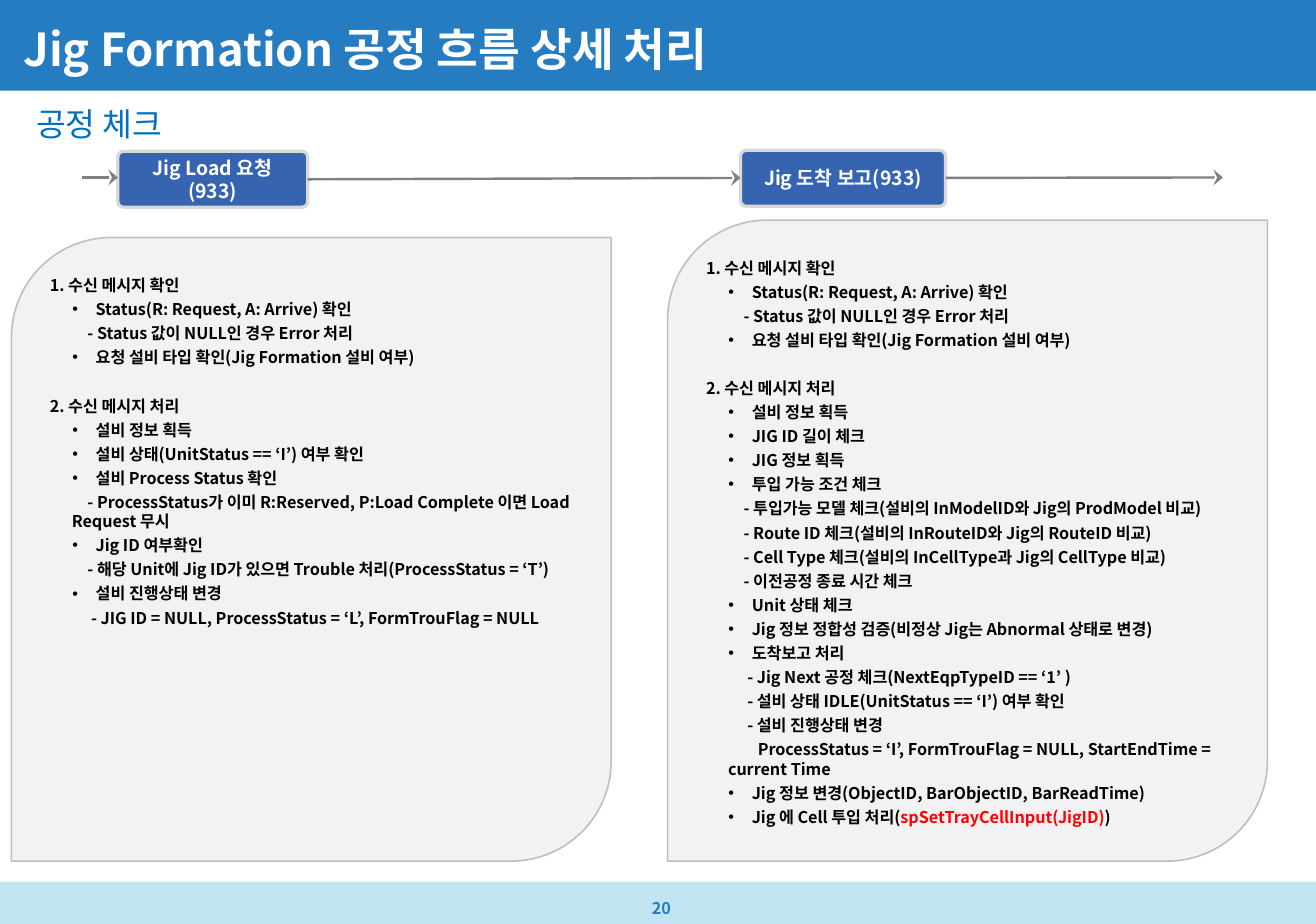
"""Build the Jig Formation process check slide."""
from lxml import etree
from pptx import Presentation
from pptx.dml.color import RGBColor
from pptx.enum.shapes import MSO_CONNECTOR, MSO_SHAPE
from pptx.enum.text import MSO_ANCHOR, PP_ALIGN
from pptx.oxml.ns import qn
from pptx.util import Cm, Pt

RECT = MSO_SHAPE.RECTANGLE
ROUND = MSO_SHAPE.ROUNDED_RECTANGLE
DIAG = MSO_SHAPE.ROUND_2_DIAG_RECTANGLE
LINE = MSO_CONNECTOR.STRAIGHT
TOP, MID, LOW = MSO_ANCHOR.TOP, MSO_ANCHOR.MIDDLE, MSO_ANCHOR.BOTTOM
LEFT, MIDDLE = PP_ALIGN.LEFT, PP_ALIGN.CENTER

FONT = "Noto Sans CJK KR"
HUES = {
    "head": "257CC0", "foot": "C2E5F4", "sub": "0070C0", "panel": "F2F2F2",
    "edge": "BFBFBF", "step": "3664B0", "rim": "D9D9D9", "arrow": "808080",
    "white": "FFFFFF", "black": "000000", "red": "FF0000",
}
INDENTS = {"#": (0, 0), "*": (1, -0.51), "-": (0.48, 0.34),
           "=": (0.48, 0.42), "+": (0.48, 0.65)}
HUE = {name: RGBColor.from_string(code) for name, code in HUES.items()}

deck = Presentation()
deck.slide_width, deck.slide_height = Cm(28.7), Cm(20.15)
slide = deck.slides.add_slide(deck.slide_layouts[6])
shapes = slide.shapes


def write(shape, lines, size=10, color="black", bold=True, align=LEFT,
          anchor=TOP, pad=(0.2, 0.1, 0.1, 0.1), lead=12.0):
    """Fill a shape with lines, each a mark and a text; bars set off red runs."""
    frame = shape.text_frame
    frame.word_wrap = True
    frame.vertical_anchor = anchor
    frame.margin_left, frame.margin_top, frame.margin_right, frame.margin_bottom = map(Cm, pad)
    for row, (mark, text) in enumerate(lines):
        para = frame.paragraphs[0] if row == 0 else frame.add_paragraph()
        para.alignment = align
        para.line_spacing = Pt(lead) if lead > 2 else lead
        if row:
            para.space_before = Pt(17.8 if mark == "#" else 2.9)
        props = para._p.get_or_add_pPr()
        left, first = INDENTS[mark]
        props.set("marL", str(Cm(left)))
        props.set("indent", str(Cm(first)))
        if mark == "*":
            etree.SubElement(props, qn("a:buFont")).set("typeface", "Arial")
            etree.SubElement(props, qn("a:buChar")).set("char", "•")
        for part, words in enumerate(text.split("|")):
            run = para.add_run()
            run.text = words
            run.font.size, run.font.bold, run.font.name = Pt(size), bold, FONT
            run.font.color.rgb = HUE["red" if part % 2 else color]
            etree.SubElement(run._r.get_or_add_rPr(), qn("a:ea")).set("typeface", FONT)


def block(kind, box, fill, line=None, width=1):
    """Add a filled shape with an optional outline."""
    shape = shapes.add_shape(kind, *map(Cm, box))
    shape.shadow.inherit = False
    shape.fill.solid()
    shape.fill.fore_color.rgb = HUE[fill]
    if line:
        shape.line.color.rgb = HUE[line]
        shape.line.width = Pt(width)
    else:
        shape.line.fill.background()
    return shape


block(RECT, (0, 0, 28.7, 1.98), "head")
block(RECT, (0, 19.23, 28.7, 0.92), "foot")

labels = [
    ((13, 19.43, 2.95, 0.71), "20",
     dict(color="head", anchor=MID, pad=(1.22, 0.2, 0, 0.2), lead=1.1)),
    ((0.26, 0.58, 24.74, 1.09), "Jig Formation 공정 흐름 상세 처리",
     dict(size=28, color="white", anchor=LOW, pad=(0.25, 0.13, 0.25, 0), lead=0.9)),
    ((0.54, 2.13, 27.61, 1.22), "공정 체크",
     dict(size=20, color="sub", bold=False, anchor=MID, pad=(0.25, 0.13, 0.25, 0.13), lead=0.9)),
]
for box, text, style in labels:
    write(shapes.add_textbox(*map(Cm, box)), [("#", text)], **style)

check = [
    ("#", "1. 수신 메시지 확인"),
    ("*", "Status(R: Request, A: Arrive) 확인"),
    ("-", "- Status 값이 NULL인 경우 Error 처리"),
    ("*", "요청 설비 타입 확인(Jig Formation 설비 여부)"),
    ("#", "2. 수신 메시지 처리"),
    ("*", "설비 정보 획득"),
]
load = [
    ("*", "설비 상태(UnitStatus == ‘I’) 여부 확인"),
    ("*", "설비 Process Status 확인"),
    ("-", "- ProcessStatus가 이미 R:Reserved, P:Load Complete 이면 Load Request 무시"),
    ("*", "Jig ID 여부확인"),
    ("-", "- 해당 Unit에 Jig ID가 있으면 Trouble 처리(ProcessStatus = ‘T’)"),
    ("*", "설비 진행상태 변경"),
    ("=", "- JIG ID = NULL, ProcessStatus = ‘L’, FormTrouFlag = NULL"),
]
arrive = [
    ("*", "JIG ID 길이 체크"),
    ("*", "JIG 정보 획득"),
    ("*", "투입 가능 조건 체크"),
    ("-", "- 투입가능 모델 체크(설비의 InModelID와 Jig의 ProdModel 비교)"),
    ("-", "- Route ID 체크(설비의 InRouteID와 Jig의 RouteID 비교)"),
    ("-", "- Cell Type 체크(설비의 InCellType과 Jig의 CellType 비교)"),
    ("-", "- 이전공정 종료 시간 체크"),
    ("*", "Unit 상태 체크"),
    ("*", "Jig 정보 정합성 검증(비정상 Jig는 Abnormal 상태로 변경)"),
    ("*", "도착보고 처리"),
    ("=", "- Jig Next 공정 체크(NextEqpTypeID == ‘1’ )"),
    ("=", "- 설비 상태 IDLE(UnitStatus == ‘I’) 여부 확인"),
    ("=", "- 설비 진행상태 변경"),
    ("+", "ProcessStatus = ‘I’, FormTrouFlag = NULL, StartEndTime = current Time"),
    ("*", "Jig 정보 변경(ObjectID, BarObjectID, BarReadTime)"),
    ("*", "Jig 에 Cell 투입 처리(|spSetTrayCellInput(JigID)|)"),
]
for left, top, lines in [(0.25, 5.18, load), (14.56, 4.8, arrive)]:
    panel = block(DIAG, (left, top, 13.08, 18.78 - top), "panel", "edge")
    write(panel, check + lines, pad=(0.2, 0.19, 0.1, 0.1))

steps = [
    ((2.57, 3.3, 4.14, 1.22), "Jig Load 요청(933)"),
    ((16.15, 3.28, 4.47, 1.22), "Jig 도착 보고(933)"),
]
for box, text in steps:
    step = block(ROUND, box, "step", "rim", 2)
    step.adjustments[0] = 0.1
    write(step, [("#", text)], size=12, color="white", align=MIDDLE,
          anchor=MID, pad=(0.2, 0.1, 0.2, 0.1), lead=14.2)

for ends in [(1.78, 3.87, 2.57, 3.87), (6.71, 3.91, 16.15, 3.88), (20.62, 3.88, 26.67, 3.87)]:
    arrow = shapes.add_connector(LINE, *map(Cm, ends))
    arrow.line.color.rgb = HUE["arrow"]
    arrow.line.width = Pt(1.5)
    props = arrow._element.spPr
    tip = etree.SubElement(props.find(qn("a:ln")), qn("a:tailEnd"))
    tip.set("type", "stealth")
    tip.set("w", "lg")
    etree.SubElement(props, qn("a:effectLst"))

deck.save("out.pptx")
